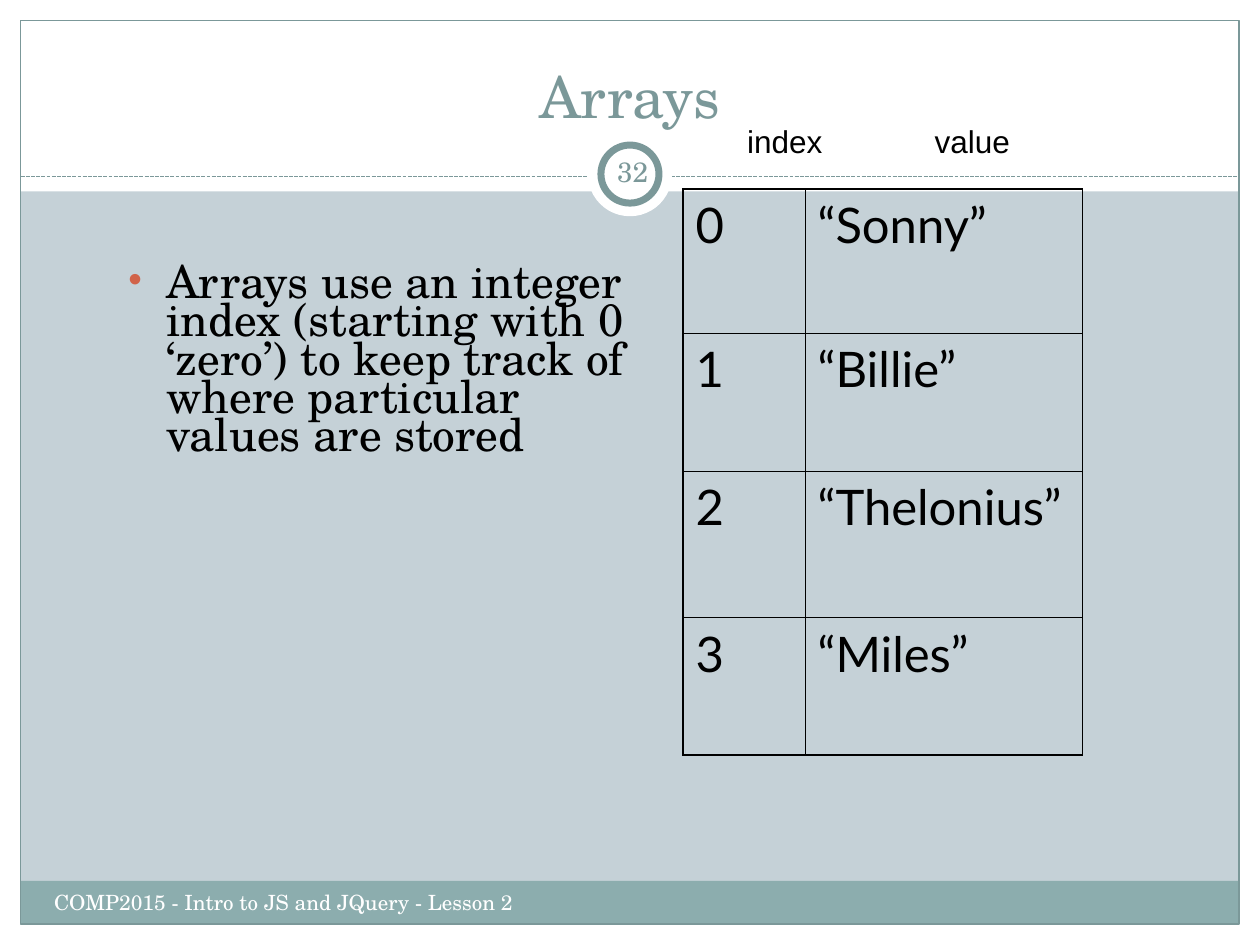
from lxml.etree import SubElement
from pptx import Presentation
from pptx.dml.color import RGBColor
from pptx.enum.dml import MSO_LINE
from pptx.enum.shapes import MSO_CONNECTOR, MSO_SHAPE
from pptx.enum.text import MSO_ANCHOR, MSO_AUTO_SIZE, PP_ALIGN
from pptx.oxml import parse_xml
from pptx.oxml.ns import nsdecls, qn
from pptx.util import Cm, Pt

TITLE = "Arrays"
BODY = ("Arrays use an integer index (starting with 0 ‘zero’) to keep track of "
        "where particular values are stored")
FOOTER = "COMP2015 - Intro to JS and JQuery - Lesson 2"
PAGE = "32"
HEADINGS = "index\tvalue"
ROWS = [("0", "“Sonny”"), ("1", "“Billie”"), ("2", "“Thelonius”"), ("3", "“Miles”")]
COL_WIDTHS = [2.46, 5.59]
ROW_HEIGHTS = [2.9, 2.79, 2.95, 2.77]

SERIF, SANS, TABLE_FONT = "TeX Gyre Schola", "Arial", "Lato"
BLACK, WHITE, TEAL, SAGE, PALE, ORANGE = "000000", "FFFFFF", "7B9899", "8CADAE", "C5D1D7", "D16349"
W, H, EDGE, HEADER, RULE_Y = 25.4, 19.05, 0.42, 3.86, 3.56
BANDS = [
    (0, H - EDGE, W, EDGE, WHITE),
    (0, 0, W, HEADER, WHITE),
    (0, 0, EDGE, H, WHITE),
    (W - EDGE, 0, EDGE, H, WHITE),
    (EDGE, 17.76, W - 2 * EDGE, 0.87, SAGE),
]


def rgb(value):
    return RGBColor.from_string(value)


def add_shape(s, kind, box, fill=None, line=None, width=0.75):
    sp = s.shapes.add_shape(kind, *map(Cm, box))
    sp.shadow.inherit = False
    if fill:
        sp.fill.solid()
        sp.fill.fore_color.rgb = rgb(fill)
    else:
        sp.fill.background()
    if line:
        sp.line.color.rgb = rgb(line)
        sp.line.width = Pt(width)
    else:
        sp.line.fill.background()
    return sp


def set_text(tf, text, font, size, color, align=PP_ALIGN.LEFT):
    tf.text = text
    p = tf.paragraphs[0]
    p.alignment = align
    for r in p.runs:
        r.font.name = font
        r.font.size = Pt(size)
        r.font.color.rgb = rgb(color)
    return p


def add_text(s, box, *style, **options):
    tf = s.shapes.add_textbox(*map(Cm, box)).text_frame
    tf.word_wrap = True
    return tf, set_text(tf, *style, **options)


def add_bullet(p, char, color, percent, indent):
    pPr = p._p.get_or_add_pPr()
    pPr.set("marL", str(Cm(indent)))
    pPr.set("indent", str(-Cm(indent)))
    for xml in (f'<a:buClr {nsdecls("a")}><a:srgbClr val="{color}"/></a:buClr>',
                f'<a:buSzPct {nsdecls("a")} val="{percent * 1000}"/>',
                f'<a:buFont {nsdecls("a")} typeface="{SANS}"/>',
                f'<a:buChar {nsdecls("a")} char="{char}"/>'):
        pPr.append(parse_xml(xml))


def add_tab(p, position):
    tabs = SubElement(p._p.get_or_add_pPr(), qn("a:tabLst"))
    SubElement(tabs, qn("a:tab"), pos=str(Cm(position)), algn="l")


def set_borders(cell, outer_sides):
    tcPr = cell._tc.get_or_add_tcPr()
    for side in "LRTB":
        width = Pt(1.08 if side in outer_sides else 0.45)
        tcPr.append(parse_xml(
            f'<a:ln{side} {nsdecls("a")} w="{width}"><a:solidFill>'
            f'<a:srgbClr val="{BLACK}"/></a:solidFill></a:ln{side}>'))


def add_frame(s):
    for *box, fill in BANDS:
        add_shape(s, MSO_SHAPE.RECTANGLE, box, fill)
    add_shape(s, MSO_SHAPE.RECTANGLE, (EDGE, EDGE, W - 2 * EDGE, H - 2 * EDGE), line=TEAL)
    rule = s.shapes.add_connector(
        MSO_CONNECTOR.STRAIGHT, Cm(EDGE), Cm(RULE_Y), Cm(W - EDGE), Cm(RULE_Y))
    rule.line.color.rgb = rgb(TEAL)
    rule.line.width = Pt(0.75)
    rule.line.dash_style = MSO_LINE.SQUARE_DOT
    SubElement(rule._element.spPr, qn("a:effectLst"))
    for size, line in ((1.7, None), (1.17, TEAL)):
        box = (W / 2 - size / 2, 3.51 - size / 2, size, size)
        add_shape(s, MSO_SHAPE.OVAL, box, WHITE, line, 4)


def add_title(s):
    title = s.shapes.title
    title.element.getparent().append(title.element)
    title.left, title.top, title.width, title.height = map(Cm, (0.84, 0.64, 23.7, 2.11))
    tf = title.text_frame
    tf.auto_size = MSO_AUTO_SIZE.NONE
    tf.vertical_anchor = MSO_ANCHOR.BOTTOM
    set_text(tf, TITLE, SERIF, 33, TEAL, PP_ALIGN.CENTER)


def add_array_table(s):
    box = (13.77, 3.81, sum(COL_WIDTHS), sum(ROW_HEIGHTS))
    table = s.shapes.add_table(len(ROWS), len(COL_WIDTHS), *map(Cm, box)).table
    table.first_row = table.horz_banding = False
    for column, width in zip(table.columns, COL_WIDTHS):
        column.width = Cm(width)
    for i, (row, height) in enumerate(zip(ROWS, ROW_HEIGHTS)):
        table.rows[i].height = Cm(height)
        for j, text in enumerate(row):
            cell = table.cell(i, j)
            outer = "LR"[j] + {0: "T", len(ROWS) - 1: "B"}.get(i, "")
            set_borders(cell, outer)
            cell.fill.background()
            set_text(cell.text_frame, text, TABLE_FONT, 28, BLACK)


def main():
    """Build the slide about array indexes and values."""
    prs = Presentation()
    prs.slide_width, prs.slide_height = Cm(W), Cm(H)
    s = prs.slides.add_slide(prs.slide_layouts[5])
    s.background.fill.solid()
    s.background.fill.fore_color.rgb = rgb(PALE)
    add_frame(s)
    add_title(s)

    tf, p = add_text(s, (2.34, 5.28, 10.8, 4.65), BODY, SERIF, 26, BLACK)
    add_bullet(p, "•", ORANGE, 85, 0.76)
    p.line_spacing = 0.7

    add_text(s, (0.84, 17.81, 9.96, 1.02), FOOTER, SERIF, 12, WHITE)
    tf, p = add_text(s, (12.12, 2.84, 1.27, 1.22), PAGE, SERIF, 16, TEAL, align=PP_ALIGN.CENTER)
    tf.vertical_anchor = MSO_ANCHOR.MIDDLE
    tf.margin_left = tf.margin_right = Cm(0.13)

    add_array_table(s)
    tf, p = add_text(s, (14.81, 2.34, 5.84, 1.02), HEADINGS, SANS, 18, BLACK)
    add_tab(p, 3.78)
    prs.save("out.pptx")


if __name__ == "__main__":
    main()
